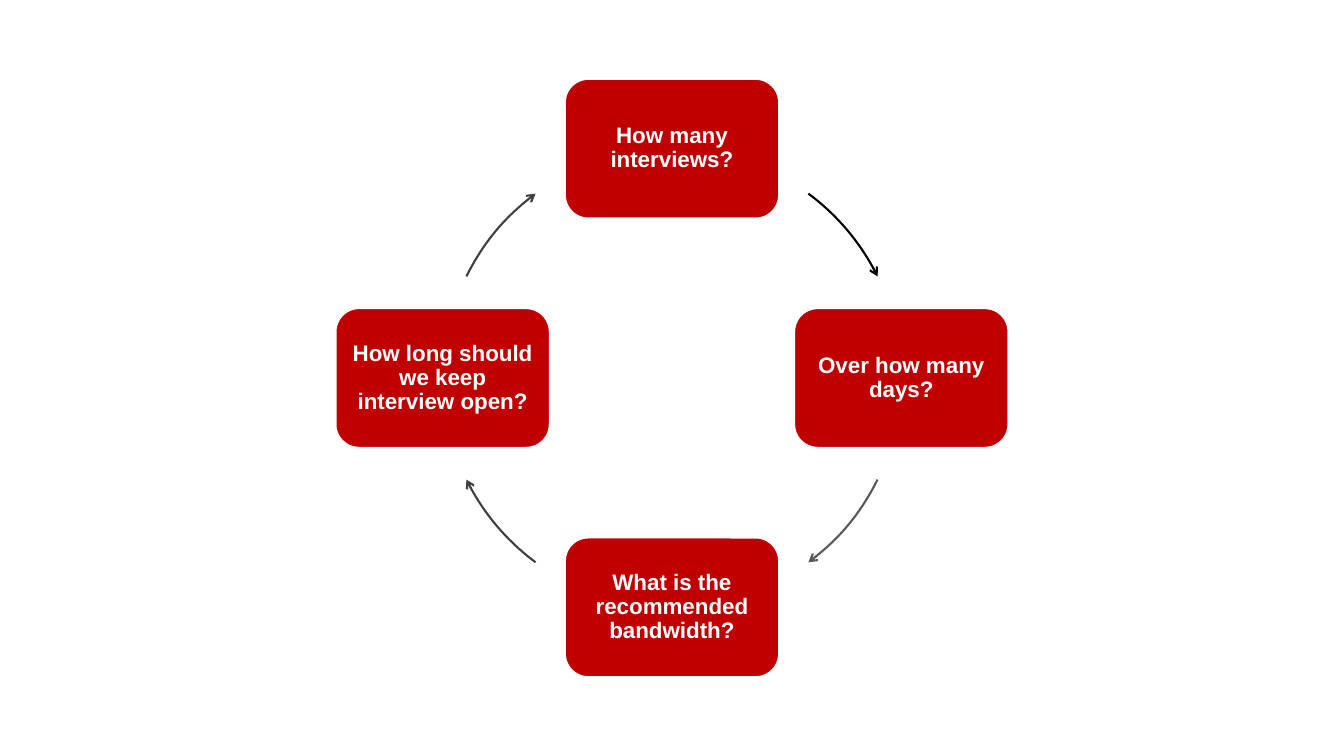
"""Build a slide with a four-step cycle of interview questions."""
from math import cos, radians, sin
from typing import NamedTuple

from lxml import etree
from pptx import Presentation
from pptx import util as u
from pptx.dml import color
from pptx.enum import shapes, text
from pptx.oxml import ns

MID_X, MID_Y = 480, 270
RING = 163.8
BOX_W, BOX_H = 152.6, 99.3
RED, WHITE = "C00000", "FFFFFF"


class Step(NamedTuple):
    """A question and the colour of the arrow that leaves it."""
    ask: str
    arrow: str


STEPS = [
    Step("How many interviews?", "000000"),
    Step("Over how many days?", "595959"),
    Step("What is the recommended bandwidth?", "404040"),
    Step("How long should we keep interview open?", "404040"),
]
SPANS = [(306.5, 333.7), (26.3, 53.5), (126.5, 153.7), (206.3, 233.5)]


def paint(form, tint: str) -> None:
    """Give a fill or font colour a solid hex colour."""
    form.rgb = color.RGBColor.from_string(tint)


def add_box(slide, step: Step, angle: float) -> None:
    """Draw a question box centred on the ring at an angle."""
    x = MID_X + RING * cos(radians(angle))
    y = MID_Y + RING * sin(radians(angle))
    box = slide.shapes.add_shape(
        shapes.MSO_SHAPE.ROUNDED_RECTANGLE,
        u.Pt(x - BOX_W / 2), u.Pt(y - BOX_H / 2), u.Pt(BOX_W), u.Pt(BOX_H))
    box.shadow.inherit = False
    box.fill.solid()
    paint(box.fill.fore_color, RED)
    paint(box.line.color, WHITE)
    box.line.width = u.Pt(1)
    frame = box.text_frame
    frame.word_wrap = True
    frame.vertical_anchor = text.MSO_ANCHOR.MIDDLE
    frame.margin_left = frame.margin_right = u.Pt(4.8)
    frame.margin_top = frame.margin_bottom = u.Pt(4.8)
    para = frame.paragraphs[0]
    para.alignment = text.PP_ALIGN.CENTER
    para.line_spacing = 0.9
    run = para.add_run()
    run.text = step.ask
    run.font.name = "Arial"
    run.font.size = u.Pt(16)
    run.font.bold = True
    paint(run.font.color, WHITE)


def add_arc(slide, tint: str, start: float, end: float) -> None:
    """Draw a clockwise arrow along the ring between two angles."""
    arc = slide.shapes.add_shape(
        shapes.MSO_SHAPE.ARC, u.Pt(MID_X - RING), u.Pt(MID_Y - RING),
        u.Pt(2 * RING), u.Pt(2 * RING))
    arc.adjustments[0] = start * 0.6
    arc.adjustments[1] = end * 0.6
    arc.shadow.inherit = False
    arc.fill.background()
    paint(arc.line.color, tint)
    arc.line.width = u.Pt(1.5)
    line = arc.line.color and arc.element.spPr.find(ns.qn("a:ln"))
    etree.SubElement(line, ns.qn("a:tailEnd"), type="arrow")


def main() -> None:
    """Draw the cycle and save it."""
    deck = Presentation()
    deck.slide_width, deck.slide_height = u.Pt(960), u.Pt(540)
    slide = deck.slides.add_slide(deck.slide_layouts[6])
    for i, (step, span) in enumerate(zip(STEPS, SPANS)):
        add_box(slide, step, 90 * i - 90)
        add_arc(slide, step.arrow, *span)
    deck.save("out.pptx")


if __name__ == "__main__":
    main()
